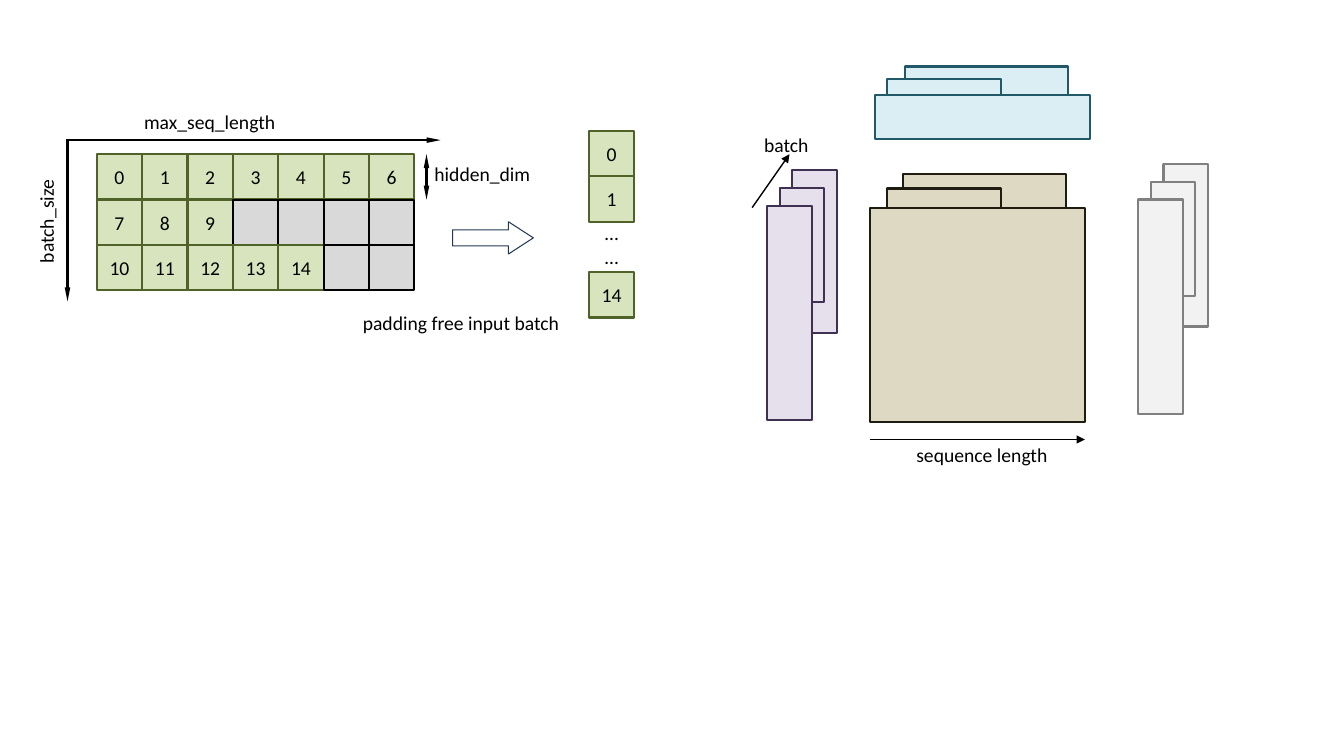
from dataclasses import dataclass
from itertools import count

from lxml.etree import SubElement
from pptx import Presentation
from pptx.dml.color import RGBColor
from pptx.enum.shapes import MSO_CONNECTOR, MSO_SHAPE
from pptx.enum.text import MSO_ANCHOR, MSO_AUTO_SIZE, PP_ALIGN
from pptx.oxml.ns import qn
from pptx.util import Inches, Pt


@dataclass(frozen=True)
class Theme:
    font: str = "Calibri"
    text_size: float = 14
    box_line: float = 1.5
    thin_line: float = 1
    hairline: float = 0.75
    ink: str = "000000"
    arrow: str = "233953"
    token: tuple = ("D7E4BD", "4F6228")
    padding: tuple = ("D9D9D9", "000000")
    query: tuple = ("E6E0EC", "403152")
    key: tuple = ("DBEEF4", "215968")
    score: tuple = ("DDD9C3", "1E1C11")
    value: tuple = ("F2F2F2", "808080")


theme = Theme()


def add_box(shapes, left, top, width, height, colors=None, text="", centred=True):
    place = [Inches(length) for length in (left, top, width, height)]
    if colors:
        box = shapes.add_shape(MSO_SHAPE.RECTANGLE, *place)
        box.shadow.inherit = False
        fill, line = colors
        box.fill.solid()
        box.fill.fore_color.rgb = RGBColor.from_string(fill)
        box.line.color.rgb = RGBColor.from_string(line)
        box.line.width = Pt(theme.box_line)
    else:
        box = shapes.add_textbox(*place)
    if text:
        frame = box.text_frame
        frame.word_wrap = True
        frame.vertical_anchor = MSO_ANCHOR.MIDDLE if centred else MSO_ANCHOR.TOP
        if not centred:
            frame.auto_size = MSO_AUTO_SIZE.SHAPE_TO_FIT_TEXT
        para = frame.paragraphs[0]
        para.text = text
        para.alignment = PP_ALIGN.CENTER if centred else PP_ALIGN.LEFT
        para.font.name = theme.font
        para.font.size = Pt(theme.text_size)
        para.font.color.rgb = RGBColor.from_string(theme.ink)
    return box


def add_arrow(shapes, start, end, weight, ends=("tailEnd",), width="med", length="med"):
    points = [Inches(value) for value in (*start, *end)]
    arrow = shapes.add_connector(MSO_CONNECTOR.STRAIGHT, *points)
    arrow.line.color.rgb = RGBColor.from_string(theme.ink)
    arrow.line.width = Pt(weight)
    outline = arrow.line._get_or_add_ln()
    for end_name in ends:
        SubElement(outline, qn(f"a:{end_name}"), type="triangle", w=width, len=length)
    SubElement(arrow._element.spPr, qn("a:effectLst"))


deck = Presentation()
deck.slide_width = Inches(13.33)
deck.slide_height = Inches(7.5)
page = deck.slides.add_slide(deck.slide_layouts[6])

CELL = 0.45
GRID_LEFT, GRID_TOP = 0.96, 1.53
COLUMNS = 7
SEQUENCE_LENGTHS = (7, 3, 5)

batch = page.shapes.add_group_shape().shapes
tokens = count()
for row, sequence_length in enumerate(SEQUENCE_LENGTHS):
    for column in range(COLUMNS):
        is_token = column < sequence_length
        add_box(batch, GRID_LEFT + column * CELL, GRID_TOP + row * CELL, CELL, CELL,
                theme.token if is_token else theme.padding,
                str(next(tokens)) if is_token else "")

for start, end, ends in (
    ((0.67, 1.38), (0.67, 2.99), ("tailEnd",)),
    ((0.66, 1.39), (4.37, 1.39), ("tailEnd",)),
    ((4.23, 1.53), (4.23, 1.98), ("headEnd", "tailEnd")),
):
    add_arrow(batch, start, end, theme.box_line, ends, "sm", "lg")

add_box(batch, 1.33, 1.04, 2.09, 0.34, text="max_seq_length", centred=False)
add_box(batch, 4.21, 1.56, 1.61, 0.34, text="hidden_dim", centred=False)
batch_size = add_box(batch, 0.29, 1.67, 0.44, 1.04, text="batch_size", centred=False)
batch_size.text_frame._txBody.bodyPr.set("vert", "vert270")

packed = page.shapes.add_group_shape().shapes
for top, label, colors in (
    (1.3, "0", theme.token),
    (1.75, "1", theme.token),
    (2.2, "……", None),
    (2.7, "14", theme.token),
):
    add_box(packed, 5.84, top, CELL, CELL, colors, label)

pack_arrow = page.shapes.add_shape(
    MSO_SHAPE.RIGHT_ARROW, Inches(4.49), Inches(2.2), Inches(0.8), Inches(0.32))
pack_arrow.adjustments[1] = 0.77
pack_arrow.shadow.inherit = False
pack_arrow.fill.background()
pack_arrow.line.color.rgb = RGBColor.from_string(theme.arrow)
pack_arrow.line.width = Pt(theme.hairline)

LENGTHS = (1.61, 1.13, 2.13)
DEPTH = 0.44
for left, top, colors in ((7.86, 1.69, theme.query), (11.54, 1.63, theme.value)):
    for layer, length in enumerate(LENGTHS):
        add_box(page.shapes, left - layer * 0.125, top + layer * 0.175,
                DEPTH, length, colors)

KEY_CORNERS = ((8.98, 0.66), (8.8, 0.78), (8.68, 0.94))
SCORE_CORNERS = ((8.96, 1.73), (8.8, 1.87), (8.63, 2.06))
for length, key_corner, score_corner in zip(LENGTHS, KEY_CORNERS, SCORE_CORNERS):
    add_box(page.shapes, *key_corner, length, DEPTH, theme.key)
    add_box(page.shapes, *score_corner, length, length, theme.score)

add_arrow(page.shapes, (7.46, 2.06), (7.83, 1.53), theme.thin_line)
add_arrow(page.shapes, (8.63, 4.36), (10.76, 4.36), theme.thin_line)

for left, top, width, label in (
    (3.5, 3.04, 2.34, "padding free input batch"),
    (7.48, 1.27, 0.8, "batch"),
    (8.99, 4.34, 1.63, "sequence length"),
):
    add_box(page.shapes, left, top, width, 0.34, text=label, centred=False)

deck.save("out.pptx")
